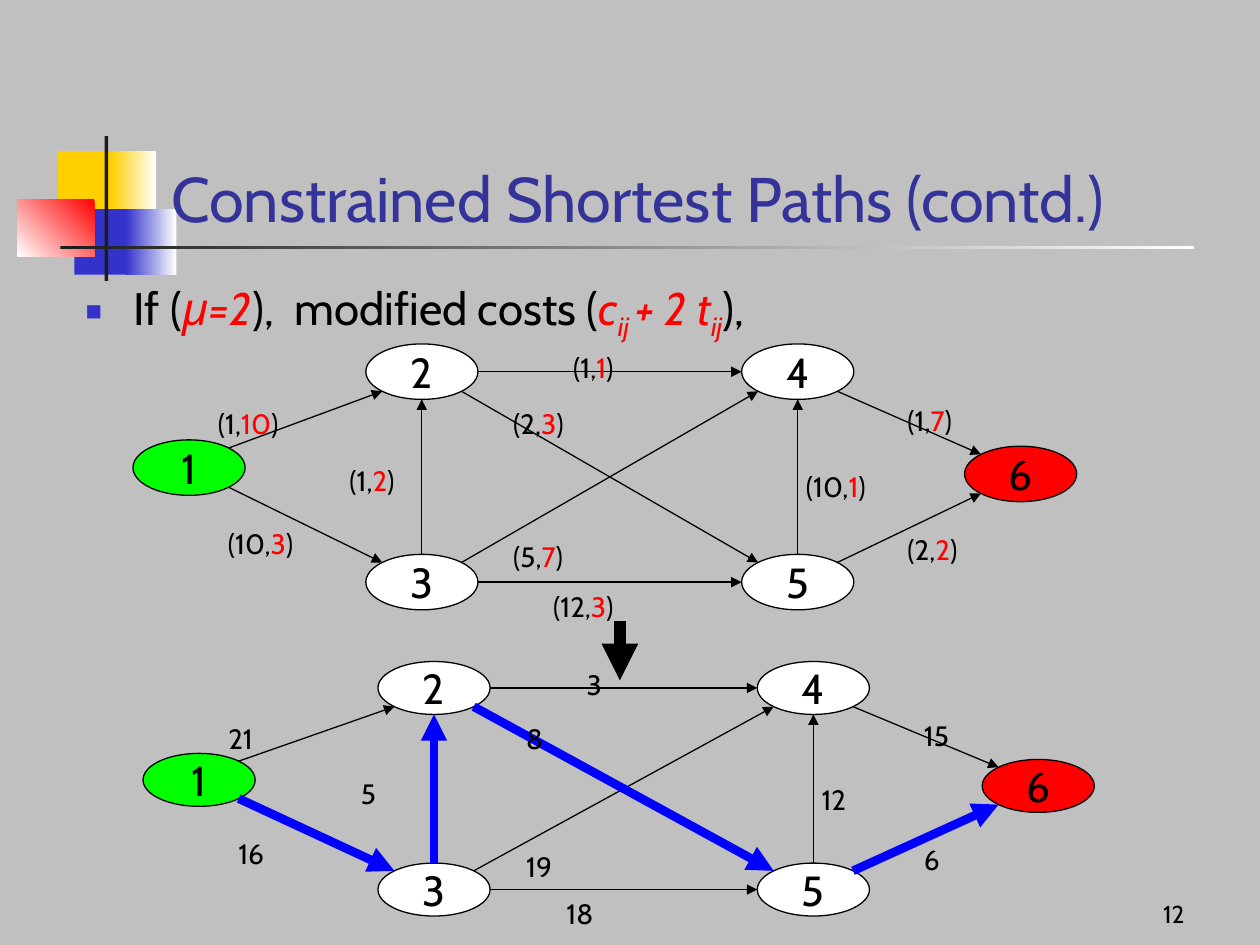
from lxml import etree
from pptx import Presentation, util as u
from pptx.dml.color import RGBColor
from pptx.enum import shapes, text
from pptx.oxml.ns import qn

COLORS = {
    "background": "C0C0C0", "title": "333399", "ink": "000000", "white": "FFFFFF",
    "red": "FF0000", "green": "00FF00", "path": "0000FF",
    "gold": "FFCF01", "indigo": "3333CC", "charcoal": "1C1C1C",
}
FONT = "Cabin"

# Node positions as shares of a network's width and height
NODES = {
    1: (0, 0.456, "green"), 2: (0.28, 0, "white"), 3: (0.28, 1, "white"),
    4: (0.732, 0, "white"), 5: (0.732, 1, "white"), 6: (1, 0.486, "red"),
}
# (start, end): cost, time, label position as shares of the network
EDGES = {
    (1, 2): (1, 10, 0.02, 0.138), (2, 4): (1, 1, 0.447, -0.13),
    (3, 5): (12, 3, 0.423, 1.006), (4, 6): (1, 7, 0.849, 0.12),
    (5, 6): (2, 2, 0.849, 0.735), (3, 2): (1, 2, 0.178, 0.407),
    (1, 3): (10, 3, 0.032, 0.707), (3, 4): (5, 7, 0.375, 0.77),
    (2, 5): (2, 3, 0.375, 0.138), (5, 4): (10, 1, 0.727, 0.437),
}
SHORTEST_PATH = [(1, 3), (3, 2), (2, 5), (5, 6)]


def rgb(name):
    return RGBColor.from_string(COLORS[name])


def inches(*lengths):
    return [u.Inches(length) for length in lengths]


def write(frame, *pieces, size, align=None, anchor=None, wrap=True):
    """Write pieces, each (text, colour) or (text, colour, italic, subscript), as one paragraph."""
    frame.word_wrap = wrap
    frame.vertical_anchor = anchor
    paragraph = frame.paragraphs[0]
    paragraph.alignment = align
    for wording, color, *style in pieces:
        italic, subscript = style or (False, False)
        run = paragraph.add_run()
        run.text = wording
        run.font.name, run.font.size = FONT, u.Pt(size)
        run.font.color.rgb = rgb(color)
        run.font.italic = italic
        if subscript:
            run.font._element.set("baseline", "-25000")
    return paragraph


def add_block(slide, box, color, fade_to=None, angle=0):
    block = slide.shapes.add_shape(shapes.MSO_SHAPE.RECTANGLE, *inches(*box))
    block.shadow.inherit = False
    block.line.fill.background()
    if fade_to:
        block.fill.gradient()
        block.fill.gradient_angle = angle
        for stop, name in zip(block.fill.gradient_stops, (color, fade_to)):
            stop.color.rgb = rgb(name)
    else:
        block.fill.solid()
        block.fill.fore_color.rgb = rgb(color)


def add_arrow(parent, start, end, color="ink", width=0.75):
    arrow = parent.shapes.add_connector(
        shapes.MSO_CONNECTOR.STRAIGHT, *inches(*start, *end))
    arrow.line.color.rgb = rgb(color)
    arrow.line.width = u.Pt(width)
    etree.SubElement(arrow.line._get_or_add_ln(), qn("a:tailEnd"), type="triangle")
    etree.SubElement(arrow._element.spPr, qn("a:effectLst"))


def add_node(parent, number, center, size, color):
    corner = [c - s / 2 for c, s in zip(center, size)]
    node = parent.shapes.add_shape(shapes.MSO_SHAPE.OVAL, *inches(*corner, *size))
    node.shadow.inherit = False
    node.fill.solid()
    node.fill.fore_color.rgb = rgb(color)
    node.line.color.rgb = rgb("ink")
    node.line.width = u.Pt(0.75)
    write(node.text_frame, (str(number), "ink"), size=24, wrap=False,
          align=text.PP_ALIGN.CENTER, anchor=text.MSO_ANCHOR.MIDDLE)


def add_label(parent, left, top, pieces):
    wording = "".join(piece[0] for piece in pieces)
    digits = sum(map(str.isdigit, wording))
    width = 0.19 + 0.13 * digits + (0.19 if "(" in wording else 0)
    label = parent.shapes.add_textbox(*inches(left, top, width, 0.37))
    write(label.text_frame, *pieces, size=16, wrap=False)
    label.text_frame.auto_size = text.MSO_AUTO_SIZE.SHAPE_TO_FIT_TEXT


def rim_point(center, size, toward):
    """Point of an ellipse's rim in the nearest of the eight compass directions."""
    signs = [(t > c + 0.01) - (t < c - 0.01) for c, t in zip(center, toward)]
    reach = 0.5 if 0 in signs else 0.5 ** 0.5 / 2
    return [c + sign * reach * s for c, sign, s in zip(center, signs, size)]


def cost_and_time(cost, time):
    return [(f"({cost},", "ink"), (str(time), "red"), (")", "ink")]


def modified_cost(cost, time):
    return [(str(cost + 2 * time), "ink")]


def add_network(slide, left, top, width, height, node_size, label_pieces, path=()):
    group = slide.shapes.add_group_shape()

    def place(x, y):
        return left + x * width, top + y * height

    centers = {number: place(x, y) for number, (x, y, _) in NODES.items()}
    for number, (_, _, color) in NODES.items():
        add_node(group, number, centers[number], node_size, color)
    for edge in EDGES:
        start, end = (centers[number] for number in edge)
        look = ("path", 5) if edge in path else ("ink", 0.75)
        add_arrow(group, rim_point(start, node_size, end),
                  rim_point(end, node_size, start), *look)
    for cost, time, x, y in EDGES.values():
        add_label(group, *place(x, y), label_pieces(cost, time))


def add_ornament(slide):
    add_block(slide, (0.46, 1.2, 0.48, 0.52), "gold")
    add_block(slide, (0.88, 1.2, 0.36, 0.52), "gold", "white")
    add_block(slide, (0.59, 1.66, 0.46, 0.52), "indigo")
    add_block(slide, (1, 1.66, 0.4, 0.52), "indigo", "white")
    add_block(slide, (0.14, 1.58, 0.61, 0.46), "red", "white", angle=225)
    add_block(slide, (0.83, 1.08, 0.03, 1.15), "charcoal")
    add_block(slide, (0.48, 1.95, 9, 0.03), "charcoal", "white")


def place_in_front(placeholder, *box):
    placeholder.left, placeholder.top, placeholder.width, placeholder.height = inches(*box)
    tree = placeholder._element.getparent()
    tree.append(placeholder._element)


def add_square_bullet(paragraph):
    properties = paragraph._p.get_or_add_pPr()
    properties.set("marL", str(u.Inches(0.38)))
    properties.set("indent", str(-u.Inches(0.38)))
    color = etree.SubElement(properties, qn("a:buClr"))
    etree.SubElement(color, qn("a:srgbClr"), val=COLORS["indigo"])
    etree.SubElement(properties, qn("a:buSzPct"), val="60000")
    etree.SubElement(properties, qn("a:buFont"), typeface="Arial")
    etree.SubElement(properties, qn("a:buChar"), char="■")


def add_wording(slide):
    title, body = slide.placeholders
    place_in_front(title, 1.26, 0.67, 8.52, 1.25)
    write(title.text_frame, ("Constrained Shortest Paths (contd.)", "title"), size=36,
          align=text.PP_ALIGN.LEFT, anchor=text.MSO_ANCHOR.BOTTOM)
    place_in_front(body, 0.58, 2.17, 8.5, 4.5)
    statement = write(
        body.text_frame, ("If (", "ink"), ("μ=2", "red", True, False),
        ("),  modified costs (", "ink"), ("c", "red", True, False),
        ("ij ", "red", True, True), ("+ 2 t", "red", True, False),
        ("ij", "red", True, True), ("),", "ink"), size=26, anchor=text.MSO_ANCHOR.TOP)
    statement.space_before = u.Pt(6.5)
    add_square_bullet(statement)


def main():
    deck = Presentation()
    deck.slide_width, deck.slide_height = inches(10, 7.5)
    slide = deck.slides.add_slide(deck.slide_layouts[1])
    slide.background.fill.solid()
    slide.background.fill.fore_color.rgb = rgb("background")
    add_ornament(slide)
    add_wording(slide)
    add_network(slide, 1.58, 5.46, 6.66, 1.6, (0.89, 0.42), modified_cost, SHORTEST_PATH)
    add_network(slide, 1.5, 2.95, 6.6, 1.67, (0.89, 0.44), cost_and_time)
    add_arrow(slide, (4.92, 4.93), (4.92, 5.4), width=7)
    page_number = slide.shapes.add_textbox(*inches(7.42, 6.92, 2.08, 0.5))
    write(page_number.text_frame, ("12", "ink"), size=14,
          align=text.PP_ALIGN.RIGHT, anchor=text.MSO_ANCHOR.BOTTOM)
    deck.save("out.pptx")


if __name__ == "__main__":
    main()
